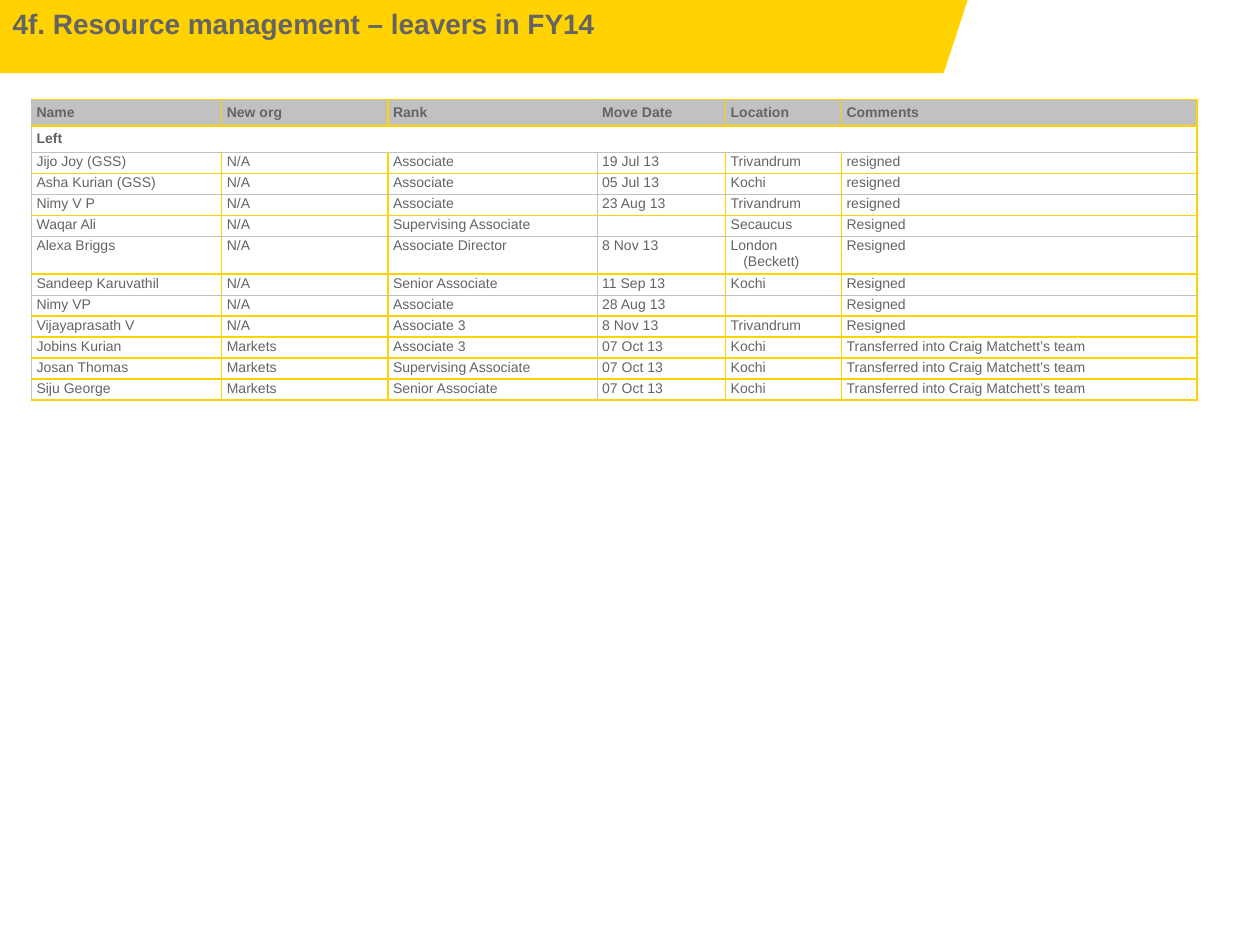
from lxml import etree
from pptx import Presentation
from pptx.dml.color import RGBColor
from pptx.enum import text
from pptx.oxml import ns
from pptx.util import Inches, Pt

COLORS = {"gold": "FFD200", "ink": "646464", "grey": "C1C1C1", "white": "FFFFFF"}
HEADS = ["Name", "New org", "Rank", "Move Date", "Location", "Comments"]
MOVED = "Transferred into Craig Matchett’s team"
LEAVERS = [
    ["Jijo Joy (GSS)", "N/A", "Associate", "19 Jul 13", "Trivandrum", "resigned"],
    ["Asha Kurian (GSS)", "N/A", "Associate", "05 Jul 13", "Kochi", "resigned"],
    ["Nimy V P", "N/A", "Associate", "23 Aug 13", "Trivandrum", "resigned"],
    ["Waqar Ali", "N/A", "Supervising Associate", "", "Secaucus", "Resigned"],
    ["Alexa Briggs", "N/A", "Associate Director", "8 Nov 13", "London (Beckett)", "Resigned"],
    ["Sandeep Karuvathil", "N/A", "Senior Associate", "11 Sep 13", "Kochi", "Resigned"],
    ["Nimy VP", "N/A", "Associate", "28 Aug 13", "", "Resigned"],
    ["Vijayaprasath V", "N/A", "Associate 3", "8 Nov 13", "Trivandrum", "Resigned"],
    ["Jobins Kurian", "Markets", "Associate 3", "07 Oct 13", "Kochi", MOVED],
    ["Josan Thomas", "Markets", "Supervising Associate", "07 Oct 13", "Kochi", MOVED],
    ["Siju George", "Markets", "Senior Associate", "07 Oct 13", "Kochi", MOVED],
]
ROWS = [HEADS, ["Left"] + [""] * 5] + LEAVERS
WIDTHS = [1.51, 1.32, 1.66, 1.02, 0.92, 2.82]
GREY_ROWS = {2, 4, 6, 8}  # row boundaries, counted from the table's top
GREY_COLS = {0, 3}  # column boundaries, counted from the table's left


def rgb(name):
    return RGBColor.from_string(COLORS[name])


def add_border(cell, side, color, width):
    line = etree.SubElement(cell._tc.get_or_add_tcPr(), ns.qn("a:" + side),
                            w=str(Pt(width)))
    fill = etree.SubElement(line, ns.qn("a:solidFill"))
    etree.SubElement(fill, ns.qn("a:srgbClr"), val=COLORS[color])


deck = Presentation()
deck.slide_width, deck.slide_height = Inches(10), Inches(7.5)
slide = deck.slides.add_slide(deck.slide_layouts[5])

# Header band
pen = slide.shapes.build_freeform(Inches(7.68), 0)
pen.add_line_segments([(Inches(x), Inches(y)) for x, y in
                       [(7.49, 0.58), (0, 0.58), (0, 0)]], close=True)
band = pen.convert_to_shape()
band.shadow.inherit = False
band.fill.solid()
band.fill.fore_color.rgb = rgb("gold")
band.line.fill.background()

# Title, in front of the band
title = slide.shapes.title
band._element.addnext(title._element)
title.left, title.top, title.width, title.height = (
    Inches(n) for n in (0, 0, 8.45, 1.08))
frame = title.text_frame
frame.text = "4f. Resource management – leavers in FY14"
frame.vertical_anchor = text.MSO_ANCHOR.TOP
frame.auto_size = text.MSO_AUTO_SIZE.NONE
frame.paragraphs[0].alignment = text.PP_ALIGN.LEFT
font = frame.paragraphs[0].runs[0].font
font.name, font.size, font.bold = "Arial", Pt(16), True
font.color.rgb = rgb("ink")

# Table of leavers
table = slide.shapes.add_table(len(ROWS), len(HEADS), Inches(0.25), Inches(0.79),
                               Inches(9.25), Inches(2.39)).table
table.first_row = table.horz_banding = False
for col, width in zip(table.columns, WIDTHS):
    col.width = Inches(width)

for r, row in enumerate(ROWS):
    top = r < 2
    table.rows[r].height = Inches(0.21) if top else Pt(12)
    if "London (Beckett)" in row:
        table.rows[r].height = Inches(0.3)
    for c, words in enumerate(row):
        cell = table.cell(r, c)
        cell.margin_left = cell.margin_right = Inches(0.04)
        cell.margin_top = cell.margin_bottom = Inches(0.04 if top else 0.01)
        for side, edge, greys in [("lnL", c, GREY_COLS), ("lnR", c + 1, GREY_COLS),
                                  ("lnT", r, GREY_ROWS), ("lnB", r + 1, GREY_ROWS)]:
            grey = edge in greys
            add_border(cell, side, "grey" if grey else "gold", 0.5 if grey else 1)
        cell.fill.solid()
        cell.fill.fore_color.rgb = rgb("white" if r else "grey")
        cell.text = words
        para = cell.text_frame.paragraphs[0]
        props = para._p.get_or_add_pPr()
        props.set("marL", str(Inches(0.1)))
        props.set("indent", str(Inches(-0.1)))
        for run in para.runs:
            font = run.font
            font.name, font.size, font.bold = "Arial", Pt(8), top
            font.color.rgb = rgb("ink")
        if not words:
            para._p.get_or_add_endParaRPr().set("sz", "800")

table.cell(1, 0).merge(table.cell(1, 5))

deck.save("out.pptx")
